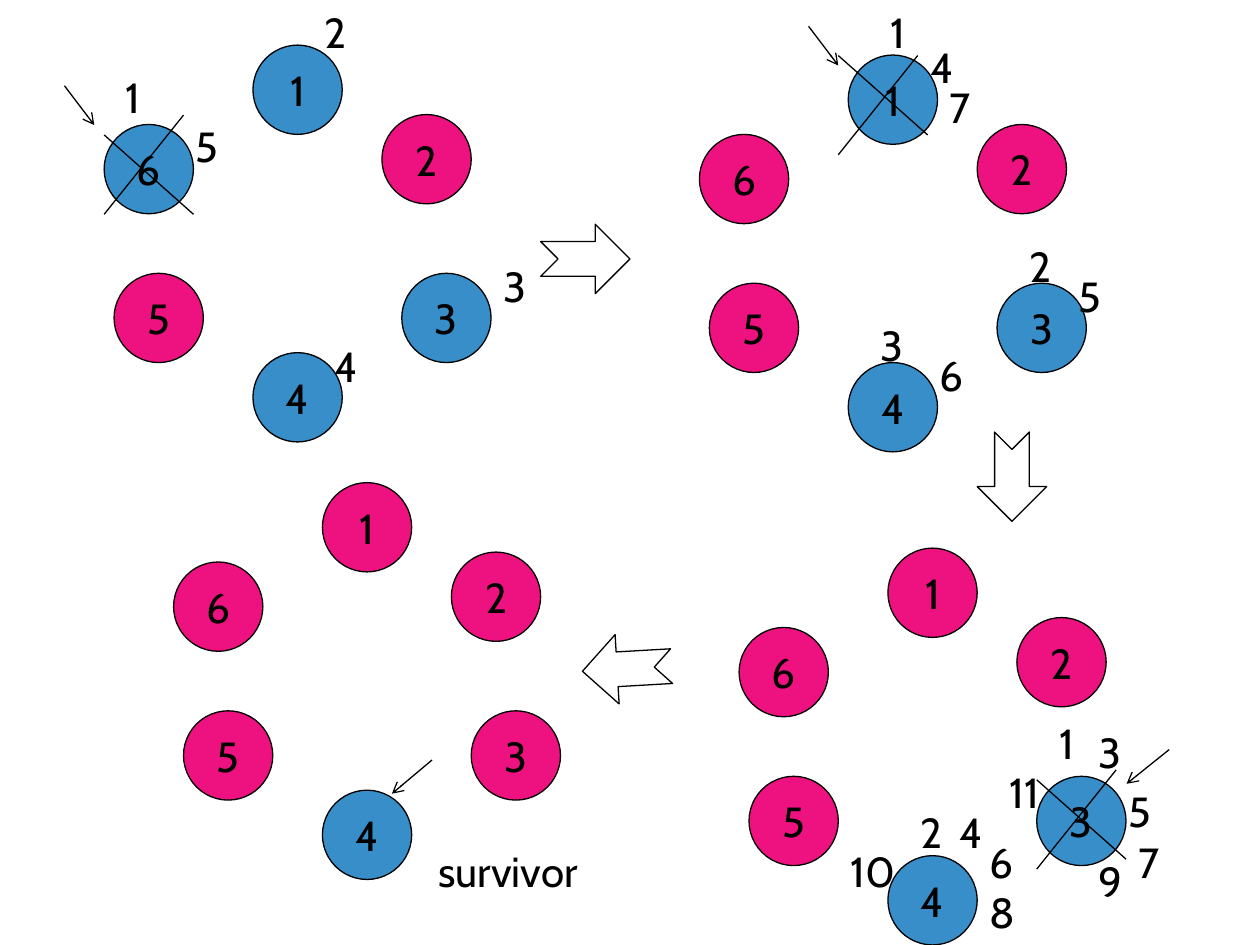
from lxml.etree import SubElement
from pptx import Presentation
from pptx.dml.color import RGBColor
from pptx.enum.shapes import MSO_CONNECTOR, MSO_SHAPE
from pptx.enum.text import MSO_ANCHOR, MSO_AUTO_SIZE, PP_ALIGN
from pptx.oxml.ns import qn
from pptx.util import Cm, Pt

BLACK, WHITE, ALIVE, OUT = "000000", "FFFFFF", "378EC9", "EE1280"
SEATS = [(0, 0), (2.6, 1.4), (3, 4.6), (0, 6.2), (-2.8, 4.6), (-3, 1.6)]


def color(value):
    return RGBColor.from_string(value)


class CountingOut:
    font, size, line_width = "Cabin", Pt(24), Pt(0.75)
    diameter = 1.8

    def __init__(self, slide):
        self.shapes = slide.shapes

    def style_line(self, line):
        line.color.rgb = color(BLACK)
        line.width = self.line_width

    def style_text(self, frame, words, align):
        frame.word_wrap = False
        paragraph = frame.paragraphs[0]
        paragraph.text = words
        paragraph.alignment = align
        paragraph.font.name = self.font
        paragraph.font.size = self.size
        paragraph.font.color.rgb = color(BLACK)

    def solid(self, kind, left, top, width, height, fill):
        solid = self.shapes.add_shape(kind, Cm(left), Cm(top), Cm(width), Cm(height))
        solid.shadow.inherit = False
        solid.fill.solid()
        solid.fill.fore_color.rgb = color(fill)
        self.style_line(solid.line)
        return solid

    def person(self, number, left, top, fill):
        person = self.solid(MSO_SHAPE.OVAL, left, top, self.diameter, self.diameter, fill)
        person.text_frame.vertical_anchor = MSO_ANCHOR.MIDDLE
        self.style_text(person.text_frame, str(number), PP_ALIGN.CENTER)

    def ring(self, left, top, alive):
        for number, (dx, dy) in enumerate(SEATS, 1):
            self.person(number, left + dx, top + dy, ALIVE if number in alive else OUT)

    def next_round(self, left, top, rotation):
        arrow = self.solid(MSO_SHAPE.NOTCHED_RIGHT_ARROW, left, top, 1.8, 1.4, WHITE)
        arrow.rotation = rotation

    def label(self, words, left, top, width):
        label = self.shapes.add_textbox(Cm(left), Cm(top), Cm(width), Cm(1.27))
        self.style_text(label.text_frame, words, PP_ALIGN.LEFT)
        label.text_frame.auto_size = MSO_AUTO_SIZE.SHAPE_TO_FIT_TEXT

    def counts(self, places):
        for count, (left, top) in enumerate(places, 1):
            words = str(count)
            self.label(words, left, top, 0.5 + 0.49 * len(words))

    def stroke(self, x1, y1, x2, y2):
        stroke = self.shapes.add_connector(
            MSO_CONNECTOR.STRAIGHT, Cm(x1), Cm(y1), Cm(x2), Cm(y2))
        self.style_line(stroke.line)
        properties = stroke.line._get_or_add_ln()
        SubElement(properties.getparent(), qn("a:effectLst"))
        return properties

    def pointer(self, x1, y1, x2, y2):
        SubElement(self.stroke(x1, y1, x2, y2), qn("a:tailEnd"), type="arrow")

    def cross(self, left, top, rise):
        self.stroke(left, top, left + 1.8, top + 1.6)
        self.stroke(left + 1.6, top - rise, left, top + 2 - rise)


def main():
    deck = Presentation()
    deck.slide_width, deck.slide_height = Cm(25.4), Cm(19.05)
    game = CountingOut(deck.slides.add_slide(deck.slide_layouts[6]))

    rings = [
        (5.1, 0.91, {1, 3, 4, 6}),
        (17.1, 1.11, {1, 3, 4}),
        (17.9, 11.05, {3, 4}),
        (6.5, 9.73, {4}),
    ]
    for ring in rings:
        game.ring(*ring)

    for step in [(10.9, 4.52, 0), (19.5, 8.91, 90), (11.74, 12.78, 176.7)]:
        game.next_round(*step)

    count_places = [
        [(2.29, 1.32), (6.3, 0), (9.9, 5.13), (6.5, 6.73), (3.7, 2.31)],
        [(17.7, 0), (20.5, 4.72), (17.5, 6.32), (18.5, 0.71),
         (21.5, 5.33), (18.7, 6.93), (18.9, 1.52)],
        [(21.1, 14.33), (18.3, 16.13), (21.9, 14.53), (19.1, 16.13),
         (22.5, 15.72), (19.7, 16.74), (22.7, 16.74), (19.7, 17.75),
         (21.9, 17.12), (16.9, 16.92), (20.1, 15.32)],
    ]
    for places in count_places:
        game.counts(places)

    for eliminated in [(2.1, 2.72, 0.4), (16.9, 1.12, 0), (20.9, 15.72, 0.2)]:
        game.cross(*eliminated)

    pointers = [
        (1.3, 1.73, 1.9, 2.52),
        (16.3, 0.53, 16.9, 1.32),
        (23.57, 15.11, 22.71, 15.8),
        (8.71, 15.32, 7.9, 16),
    ]
    for pointer in pointers:
        game.pointer(*pointer)
    game.label("survivor", 8.59, 16.92, 3.71)

    deck.save("out.pptx")


if __name__ == "__main__":
    main()
